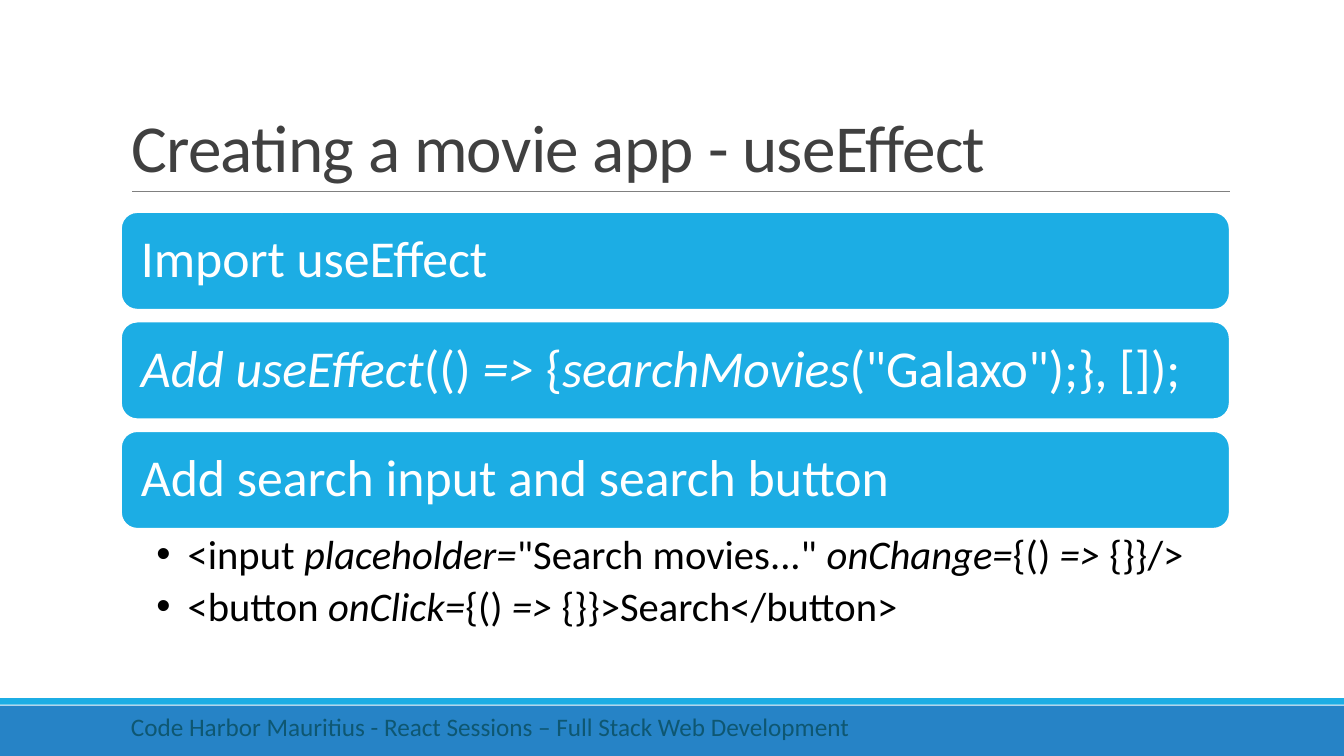
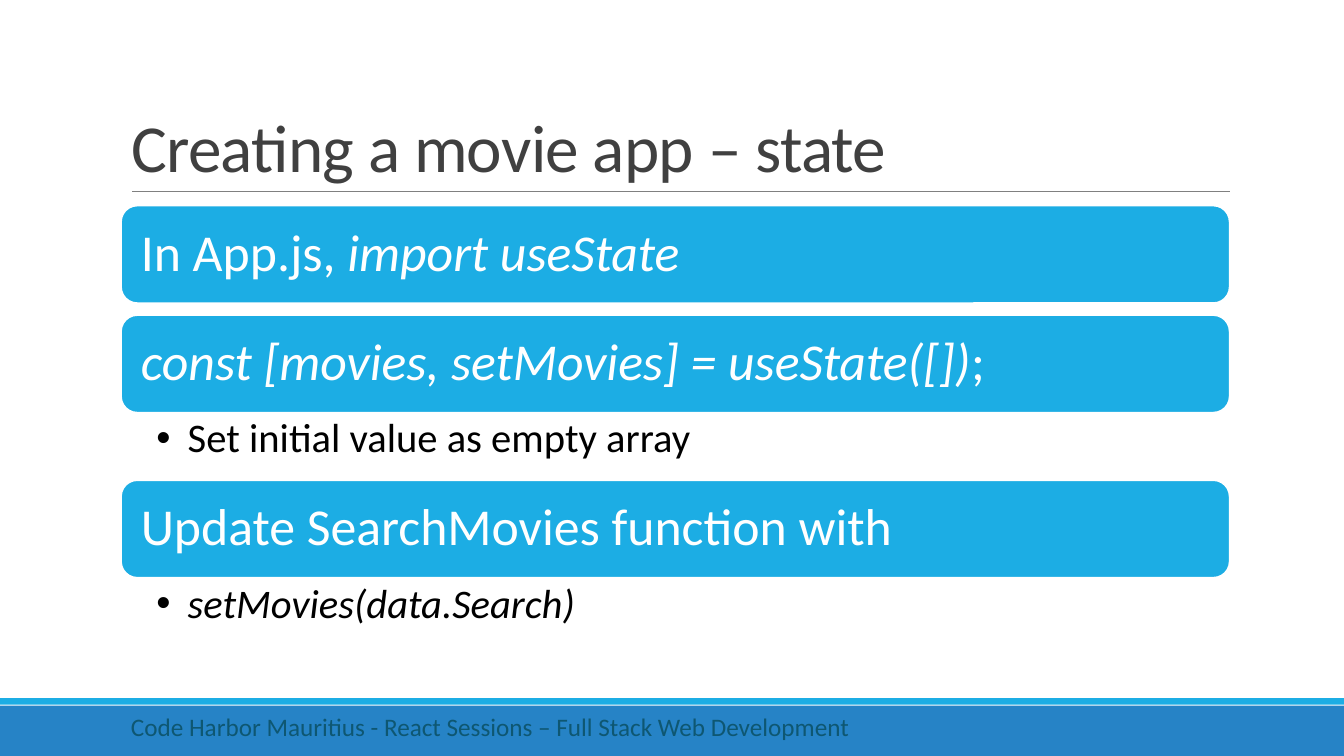
from dataclasses import dataclass

from lxml.etree import SubElement
from pptx import Presentation
from pptx.dml.color import RGBColor
from pptx.enum.shapes import MSO_CONNECTOR, MSO_SHAPE, PP_PLACEHOLDER
from pptx.enum.text import MSO_ANCHOR, MSO_AUTO_SIZE, PP_ALIGN
from pptx.oxml.ns import qn
from pptx.util import Cm, Pt


@dataclass(frozen=True)
class Theme:
    font: str = "Calibri"
    accent: RGBColor = RGBColor(0x1C, 0xAD, 0xE4)
    band: RGBColor = RGBColor(0x26, 0x83, 0xC6)
    rule: RGBColor = RGBColor(0x80, 0x80, 0x80)
    title: RGBColor = RGBColor(0x40, 0x40, 0x40)
    footer: RGBColor = RGBColor(0x0E, 0x57, 0x72)
    white: RGBColor = RGBColor(0xFF, 0xFF, 0xFF)
    black: RGBColor = RGBColor(0x00, 0x00, 0x00)
    title_size: int = 48
    step_size: int = 37
    detail_size: int = 29
    footer_size: int = 18


@dataclass(frozen=True)
class Box:
    left: float
    top: float
    width: float
    height: float

    def lengths(self):
        return Cm(self.left), Cm(self.top), Cm(self.width), Cm(self.height)


THEME = Theme()
PAGE = Box(0, 0, 33.87, 19.05)
TITLE = Box(3.05, 0.79, 27.94, 4.04)
STEPS = Box(3.05, 5.1, 27.94, 11.24)
FOOTER = Box(3.05, 17.81, 19.76, 1.02)
BAND_HEIGHT = 1.27
STRIP_HEIGHT = 0.17
STRIP_GAP = 0.02
RULE_INSET = 0.28
STEP_HEIGHT = 2.46
STEP_GAP = 0.3
DETAIL_HEIGHT = 1.7
DETAIL_PITCH = 1.07

FOOTER_TEXT = "Code Harbor Mauritius - React Sessions – Full Stack Web Development"
SLIDES = [
    ("Creating a movie app - useEffect", [
        ("Import useEffect", []),
        ('*Add useEffect*(() *=>* {*searchMovies*("Galaxo");}, []);', []),
        ("Add search input and search button", [
            '<input *placeholder=*"Search movies..." *onChange=*{() *=>* {}}/>',
            "<button *onClick=*{() *=>* {}}>Search</button>",
        ]),
    ]),
    ("Creating a movie app – state", [
        ("In App.js, *import useState*", []),
        ("*const [movies, setMovies] = useState([])*;", ["Set initial value as empty array"]),
        ("Update SearchMovies function with", ["*setMovies(data.Search)*"]),
    ]),
]


def write(para, marked_text, size, color, line_spacing=1.0):
    para.alignment = PP_ALIGN.LEFT
    para.line_spacing = line_spacing
    for index, part in enumerate(marked_text.split("*")):
        if part:
            span = para.add_run()
            span.text = part
            span.font.name = THEME.font
            span.font.size = Pt(size)
            span.font.color.rgb = color
            span.font.italic = index % 2 == 1


def set_insets(frame, left, top, right, bottom):
    frame.margin_left, frame.margin_top = Cm(left), Cm(top)
    frame.margin_right, frame.margin_bottom = Cm(right), Cm(bottom)


def add_filled(page, preset, box, color):
    shape = page.shapes.add_shape(preset, *box.lengths())
    shape.shadow.inherit = False
    shape.fill.solid()
    shape.fill.fore_color.rgb = color
    shape.line.fill.background()
    return shape


def move_frame_to_layout(page, layout):
    for holder in list(layout.placeholders):
        if holder.placeholder_format.type != PP_PLACEHOLDER.TITLE:
            holder.element.getparent().remove(holder.element)
    band_top = PAGE.height - BAND_HEIGHT
    strip_top = band_top - STRIP_GAP - STRIP_HEIGHT
    band = add_filled(page, MSO_SHAPE.RECTANGLE,
                      Box(0, band_top, PAGE.width, BAND_HEIGHT), THEME.band)
    strip = add_filled(page, MSO_SHAPE.RECTANGLE,
                       Box(0, strip_top, PAGE.width, STRIP_HEIGHT), THEME.accent)
    rule_top = Cm(TITLE.top + TITLE.height)
    rule = page.shapes.add_connector(
        MSO_CONNECTOR.STRAIGHT, Cm(TITLE.left + RULE_INSET), rule_top,
        Cm(TITLE.left + TITLE.width), rule_top)
    rule.line.color.rgb = THEME.rule
    rule.line.width = Pt(0.5)
    SubElement(rule.element.spPr, qn("a:effectLst"))
    for part in (band, strip, rule):
        layout.shapes.element.append(part.element)


def add_title(page, box, text):
    title = page.shapes.title
    title.left, title.top, title.width, title.height = box.lengths()
    frame = title.text_frame
    frame.auto_size = MSO_AUTO_SIZE.NONE
    frame.vertical_anchor = MSO_ANCHOR.BOTTOM
    write(frame.paragraphs[0], text, THEME.title_size, THEME.title, 0.85)
    for span in frame.paragraphs[0].runs:
        span.font.element.set("spc", "-50") if hasattr(span.font, "element") else \
            span.font._element.set("spc", "-50")


def add_step(page, box, text):
    step = add_filled(page, MSO_SHAPE.ROUNDED_RECTANGLE, box, THEME.accent)
    step.line.color.rgb = THEME.white
    step.line.width = Pt(1.25)
    frame = step.text_frame
    frame.word_wrap = True
    frame.vertical_anchor = MSO_ANCHOR.MIDDLE
    set_insets(frame, 0.38, 0.38, 0.38, 0.38)
    write(frame.paragraphs[0], text, THEME.step_size, THEME.white, 0.9)


def add_details(page, box, details):
    frame = page.shapes.add_textbox(*box.lengths()).text_frame
    frame.word_wrap = True
    set_insets(frame, 0.89, 0.13, 0.74, 0.13)
    for index, detail in enumerate(details):
        para = frame.add_paragraph() if index else frame.paragraphs[0]
        para.level = 1
        write(para, detail, THEME.detail_size, THEME.black, 0.9)
        para.space_after = Pt(6)
        properties = para._p.get_or_add_pPr()
        properties.set("marL", str(Cm(0.79)))
        properties.set("indent", str(-Cm(0.79)))
        SubElement(properties, qn("a:buFont")).set("typeface", "Arial")
        SubElement(properties, qn("a:buChar")).set("char", "•")


def details_height(details):
    return DETAIL_HEIGHT + DETAIL_PITCH * (len(details) - 1) if details else 0


def add_steps(page, box, steps):
    trailing = [details_height(details) or STEP_GAP for text, details in steps]
    top = box.top + (box.height - len(steps) * STEP_HEIGHT - sum(trailing)) / 2
    for (text, details), space in zip(steps, trailing):
        add_step(page, Box(box.left, top, box.width, STEP_HEIGHT), text)
        top += STEP_HEIGHT
        if details:
            add_details(page, Box(box.left, top, box.width, space), details)
        top += space


def add_footer(page, box):
    frame = page.shapes.add_textbox(*box.lengths()).text_frame
    frame.word_wrap = True
    write(frame.paragraphs[0], FOOTER_TEXT, THEME.footer_size, THEME.footer)


def main():
    deck = Presentation()
    deck.slide_width, deck.slide_height = Cm(PAGE.width), Cm(PAGE.height)
    layout = deck.slide_layouts[5]
    for index, (title, steps) in enumerate(SLIDES):
        page = deck.slides.add_slide(layout)
        if index == 0:
            move_frame_to_layout(page, layout)
        add_title(page, TITLE, title)
        add_steps(page, STEPS, steps)
        add_footer(page, FOOTER)
    deck.save("out.pptx")


if __name__ == "__main__":
    main()
